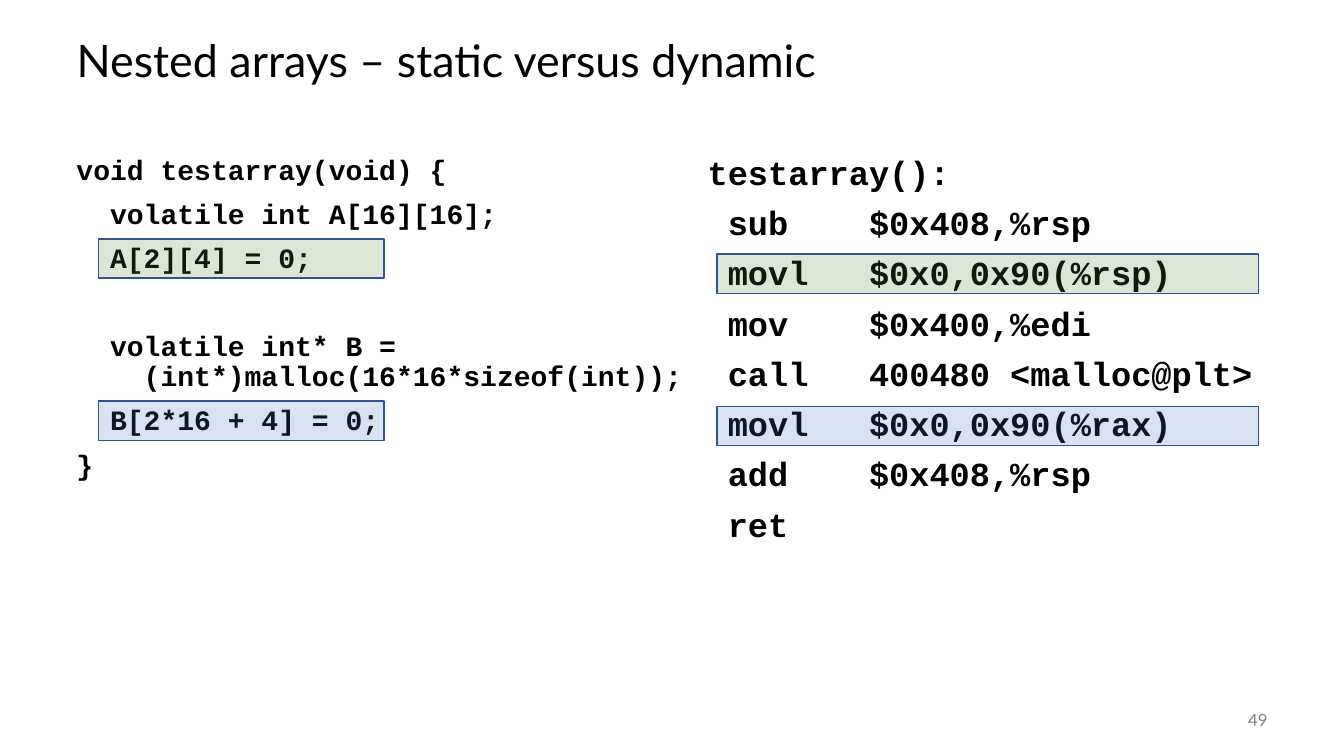
from dataclasses import dataclass

from lxml import etree
from pptx import Presentation
from pptx.dml.color import RGBColor
from pptx.enum.shapes import MSO_SHAPE
from pptx.enum.text import MSO_ANCHOR, PP_ALIGN
from pptx.oxml.ns import qn
from pptx.util import Inches, Pt

LEFT, RIGHT = PP_ALIGN.LEFT, PP_ALIGN.RIGHT
TOP, MIDDLE = MSO_ANCHOR.TOP, MSO_ANCHOR.MIDDLE
RECTANGLE = MSO_SHAPE.RECTANGLE


@dataclass(frozen=True)
class Theme:
    text_font: str = "Lato"
    code_font: str = "Courier New"
    black: RGBColor = RGBColor(0x00, 0x00, 0x00)
    gray: RGBColor = RGBColor(0x80, 0x80, 0x80)
    blue: RGBColor = RGBColor(0x44, 0x72, 0xC4)
    green: RGBColor = RGBColor(0x54, 0x82, 0x35)
    outline: RGBColor = RGBColor(0x32, 0x54, 0x91)
    title_size: int = 32
    assembly_size: int = 24
    source_size: int = 20
    number_size: int = 12
    opacity: str = "20000"


THEME = Theme()
PARAGRAPH_GAP = 10
SECTION_GAP = 41


def write_text(shape, lines, font, size, color, bold=False, align=LEFT, anchor=TOP):
    frame = shape.text_frame
    frame.word_wrap = True
    frame.vertical_anchor = anchor
    for index, line in enumerate(lines):
        paragraph = frame.add_paragraph() if index else frame.paragraphs[0]
        paragraph.text = line
        paragraph.alignment = align
        paragraph.line_spacing = 0.9
        paragraph.space_before = Pt(PARAGRAPH_GAP if index else 0)
        for run in paragraph.runs:
            run.font.name = font
            run.font.size = Pt(size)
            run.font.bold = bold
            run.font.color.rgb = color


presentation = Presentation()
presentation.slide_width = Inches(13.33)
presentation.slide_height = Inches(7.5)
slide = presentation.slides.add_slide(presentation.slide_layouts[5])

title = slide.shapes.title
title.left, title.top = Inches(0.66), Inches(0.25)
title.width, title.height = Inches(12), Inches(0.75)
write_text(title, ["Nested arrays – static versus dynamic"], THEME.text_font,
           THEME.title_size, THEME.black, anchor=MIDDLE)

slide_number = slide.shapes.add_textbox(Inches(11.67), Inches(6.95), Inches(1), Inches(0.4))
write_text(slide_number, ["49"], THEME.text_font, THEME.number_size, THEME.gray,
           align=RIGHT, anchor=MIDDLE)

assembly_lines = [
    "testarray():",
    " sub    $0x408,%rsp",
    " movl   $0x0,0x90(%rsp)",
    " mov    $0x400,%edi",
    " call   400480 <malloc@plt>",
    " movl   $0x0,0x90(%rax)",
    " add    $0x408,%rsp",
    " ret",
]
dynamic_declaration = "  volatile int* B =\v    (int*)malloc(16*16*sizeof(int));"
source_lines = [
    "void testarray(void) {",
    "  volatile int A[16][16];",
    "  A[2][4] = 0;",
    dynamic_declaration,
    "  B[2*16 + 4] = 0;",
    "}",
]
code_columns = [
    (6.92, 5.75, assembly_lines, THEME.assembly_size),
    (0.66, 6.25, source_lines, THEME.source_size),
]
for left, width, lines, size in code_columns:
    code_box = slide.shapes.add_textbox(Inches(left), Inches(1.5), Inches(width), Inches(5.5))
    write_text(code_box, lines, THEME.code_font, size, THEME.black, bold=True)

# The source column was added last; its dynamic part starts a new section.
declaration_index = source_lines.index(dynamic_declaration)
code_box.text_frame.paragraphs[declaration_index].space_before = Pt(SECTION_GAP)

# Each pair marks a source statement and the instruction it compiles to.
for color, source_top, assembly_top in [
    (THEME.blue, 3.98, 4.03),
    (THEME.green, 2.37, 2.52),
]:
    for left, top, width in [(0.98, source_top, 2.83), (7.11, assembly_top, 5.37)]:
        highlight = slide.shapes.add_shape(
            RECTANGLE, Inches(left), Inches(top), Inches(width), Inches(0.39))
        highlight.shadow.inherit = False
        highlight.fill.solid()
        highlight.fill.fore_color.rgb = color
        fill_color = highlight.fill._xPr.find(qn("a:solidFill"))[0]
        etree.SubElement(fill_color, qn("a:alpha"), val=THEME.opacity)
        highlight.line.color.rgb = THEME.outline
        highlight.line.width = Pt(1)

presentation.save("out.pptx")
